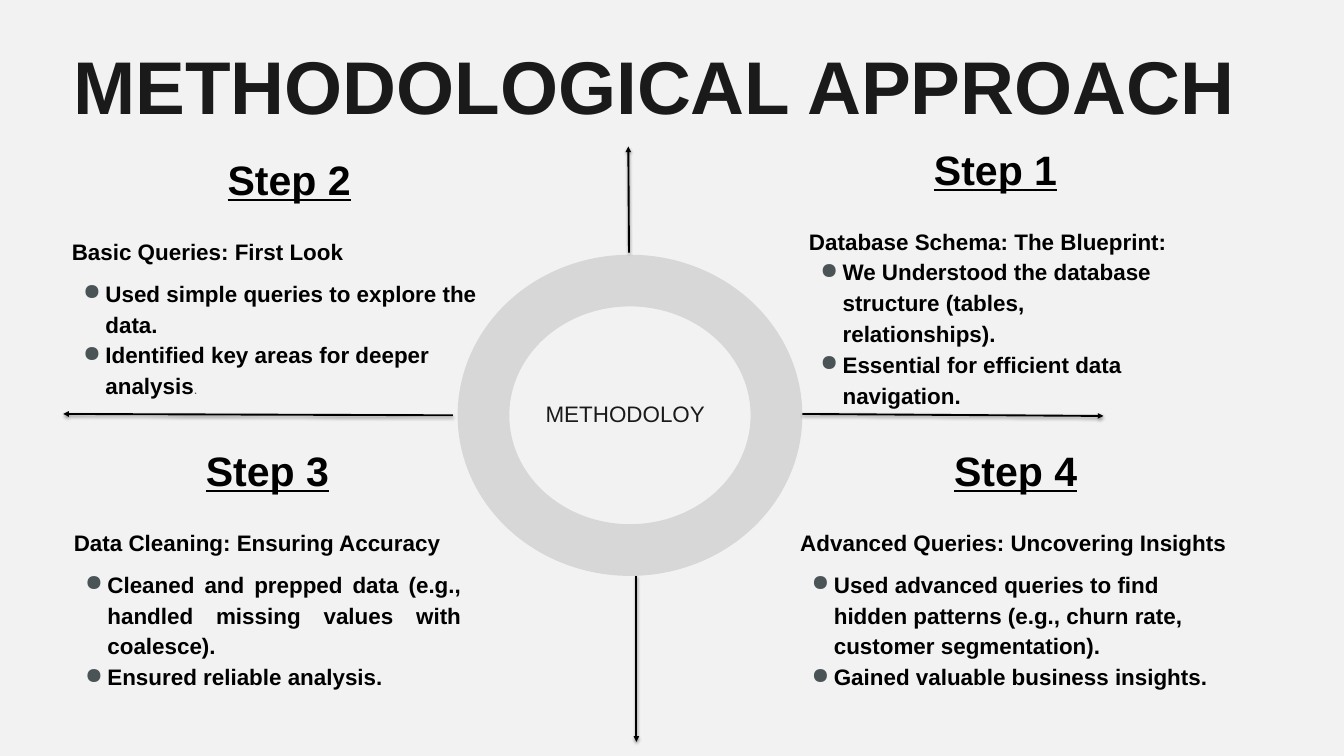
from lxml import etree
from pptx import Presentation
from pptx.dml.color import RGBColor
from pptx.enum import shapes, text
from pptx.oxml import parse_xml
from pptx.oxml.ns import nsdecls, qn
from pptx.util import Inches, Pt

COLORS = {"background": "F2F2F2", "title": "1A1A1A", "body": "000000", "bullet": "4A5356"}
LEFT, CENTER, JUSTIFY = text.PP_ALIGN.LEFT, text.PP_ALIGN.CENTER, text.PP_ALIGN.JUSTIFY

presentation = Presentation()
presentation.slide_width, presentation.slide_height = Inches(20), Inches(11.25)
slide = presentation.slides.add_slide(presentation.slide_layouts[6])
slide.background.fill.solid()
slide.background.fill.fore_color.rgb = RGBColor.from_string(COLORS["background"])


def add_box(left, top, width, height, side_margin, end_margin):
    box = slide.shapes.add_textbox(Inches(left), Inches(top), Inches(width), Inches(height))
    frame = box.text_frame
    frame.word_wrap = True
    frame.margin_left = frame.margin_right = Inches(side_margin)
    frame.margin_top = frame.margin_bottom = Inches(end_margin)
    return frame


def add_run(paragraph, words, size, color, bold=True, underline=None):
    run = paragraph.add_run()
    run.text = words
    font = run.font
    font.name, font.size, font.bold, font.underline = "Arial", Pt(size), bold, underline
    font.color.rgb = RGBColor.from_string(COLORS[color])


# Title
title = add_box(0.55, 0.34, 18.38, 1.6, 0, 0)
title.auto_size = text.MSO_AUTO_SIZE.SHAPE_TO_FIT_TEXT
title.paragraphs[0].alignment = CENTER
title.paragraphs[0].line_spacing = 1.19
add_run(title.paragraphs[0], "METHODOLOGICAL APPROACH", 80, "title")

# Steps: box, heading, subheading, bullets, alignment, space before the bullets
steps = [
    ((11.81, 6.42, 6.61, 3.31), "Step 4", "Advanced Queries: Uncovering Insights",
     ["Used advanced queries to find hidden patterns (e.g., churn rate, customer segmentation).",
      "Gained valuable business insights."], LEFT, 12),
    ((1, 6.42, 5.96, 3.09), "Step 3", "Data Cleaning: Ensuring Accuracy",
     ["Cleaned and prepped data (e.g., handled missing values with coalesce).",
      "Ensured reliable analysis."], JUSTIFY, 12),
    ((0.97, 2.09, 6.67, 2.7), "Step 2", "Basic Queries: First Look",
     ["Used simple queries to explore the data.",
      "Identified key areas for deeper analysis"], LEFT, 12),
    ((11.94, 1.94, 5.75, 2.63), "Step 1", "Database Schema: The Blueprint:",
     ["We Understood the database structure (tables, relationships).",
      "Essential for efficient data navigation."], LEFT, 0),
]
for place, heading, subheading, bullets, alignment, bullet_gap in steps:
    frame = add_box(*place, 0.1, 0.1)
    paragraph = frame.paragraphs[0]
    paragraph.alignment, paragraph.line_spacing = CENTER, 1.15
    add_run(paragraph, heading, 44, "body", underline=True)

    paragraph = frame.add_paragraph()
    paragraph.alignment, paragraph.line_spacing = alignment, 1.15
    paragraph.space_before = Pt(32)
    add_run(paragraph, subheading, 24, "body")

    for index, words in enumerate(bullets):
        paragraph = frame.add_paragraph()
        paragraph.alignment, paragraph.line_spacing = alignment, 1.15
        paragraph.space_before = Pt(0 if index else bullet_gap)
        add_run(paragraph, words, 24, "body")
        properties = paragraph._p.get_or_add_pPr()
        properties.set("marL", str(Inches(0.5)))
        properties.set("indent", str(Inches(-0.33)))
        bullet_color = etree.SubElement(properties, qn("a:buClr"))
        etree.SubElement(bullet_color, qn("a:srgbClr"), val=COLORS["bullet"])
        etree.SubElement(properties, qn("a:buChar"), char="●")
    if heading == "Step 2":
        add_run(paragraph, ".", 14, "bullet", bold=False)

# Central ring
ring = slide.shapes.add_shape(shapes.MSO_SHAPE.DONUT, Inches(6.81), Inches(3.79),
                              Inches(5.13), Inches(4.78))
ring.adjustments[0] = 0.161
ring.shadow.inherit = False
ring.fill.solid()
ring.fill.fore_color.rgb = RGBColor.from_string(COLORS["body"])
ring_color = ring._element.spPr.find(qn("a:solidFill")).find(qn("a:srgbClr"))
etree.SubElement(ring_color, qn("a:alpha"), val="11000")
ring.line.fill.background()

# Ring label
label = add_box(8.02, 5.91, 2.71, 0.5, 0.1, 0.05)
label.auto_size = text.MSO_AUTO_SIZE.SHAPE_TO_FIT_TEXT
add_run(label.paragraphs[0], "METHODOLOY", 24, "title", bold=False)

# Arrows from the ring outwards, with a soft shadow
arrows = [(6.74, 6.18, 0.94, 6.16), (11.94, 6.16, 16.42, 6.19),
          (9.47, 8.57, 9.47, 11.04), (9.36, 3.76, 9.35, 2.18)]
for ends in arrows:
    arrow = slide.shapes.add_connector(shapes.MSO_CONNECTOR.STRAIGHT, *map(Inches, ends))
    arrow.line.width = Pt(2)
    arrow.line.color.rgb = RGBColor.from_string(COLORS["body"])
    etree.SubElement(arrow.line._get_or_add_ln(), qn("a:tailEnd"), type="triangle")
    arrow._element.spPr.append(parse_xml(
        f'<a:effectLst {nsdecls("a")}><a:outerShdw blurRad="{Pt(3.1)}" dist="{Pt(1.6)}" '
        f'dir="5400000" rotWithShape="0"><a:srgbClr val="{COLORS["body"]}">'
        '<a:alpha val="38000"/></a:srgbClr></a:outerShdw></a:effectLst>'))

presentation.save("out.pptx")
